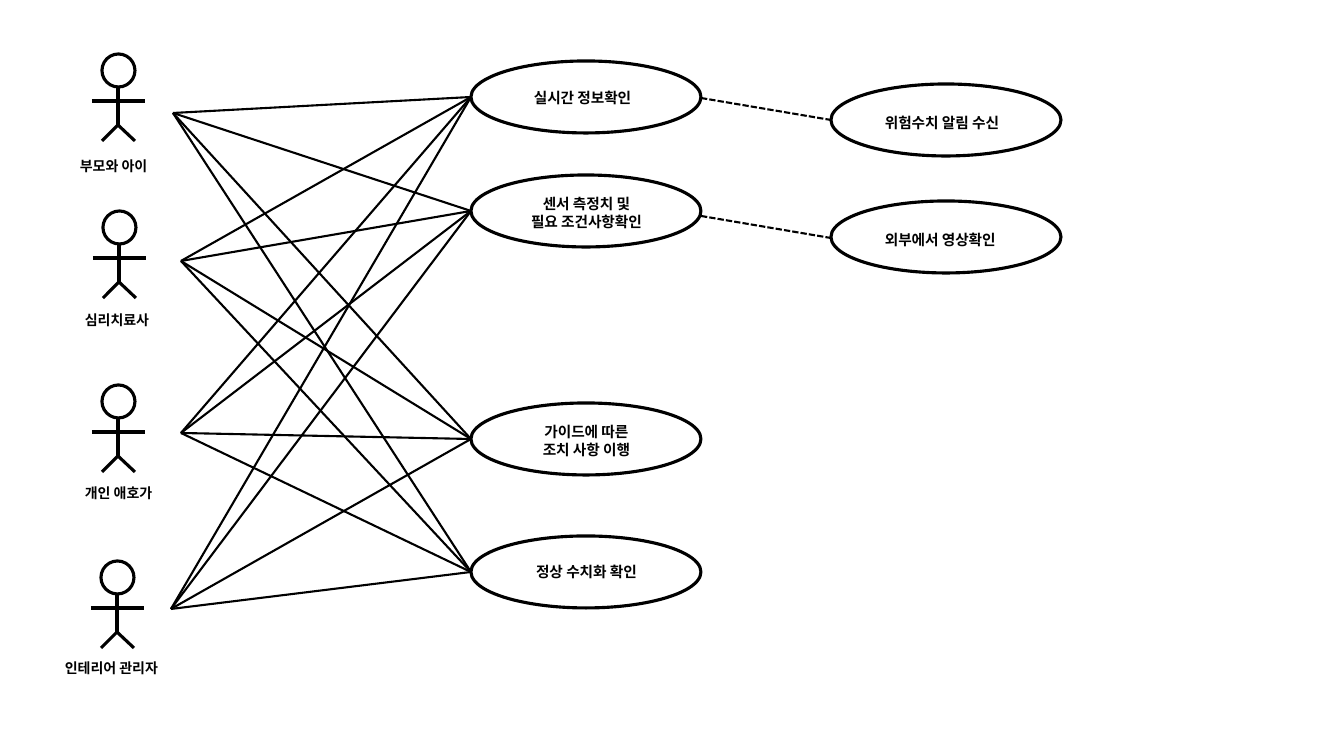
from itertools import product

from lxml.etree import SubElement
from pptx import Presentation
from pptx.dml.color import RGBColor
from pptx.enum.dml import MSO_LINE
from pptx.enum.shapes import MSO_CONNECTOR, MSO_SHAPE
from pptx.enum.text import MSO_AUTO_SIZE, PP_ALIGN
from pptx.oxml.ns import qn
from pptx.util import Emu, Pt

EMU_PER_PIXEL = 914400 / 100.8
FONT = "Noto Sans CJK KR"
COLORS = {"ink": "000000", "paper": "FFFFFF"}
CASE_WIDTH, CASE_HEIGHT = 230, 72
CASE_LEFT, EXTENSION_LEFT = 471, 831
HEAD = 33

# name, head corner, label left and width, point where the links start
ACTORS = [
    ("부모와 아이", (102, 54), (70, 107), (173, 113)),
    ("심리치료사", (103, 211), (75, 107), (181, 261)),
    ("개인 애호가", (102, 385), (75, 107), (181, 433)),
    ("인테리어 관리자", (101, 561), (55, 135), (171, 609)),
]
LABEL_TOPS = [153, 307, 480, 655]
# lines, ellipse corner, text corner, alignment
USE_CASES = [
    (["실시간 정보확인"], (CASE_LEFT, 61), (524, 84), PP_ALIGN.LEFT),
    (["센서 측정치 및", "필요 조건사항확인"], (CASE_LEFT, 175), (488, 190), PP_ALIGN.CENTER),
    (["가이드에 따른", "조치 사항 이행"], (CASE_LEFT, 403), (488, 418), PP_ALIGN.CENTER),
    (["정상 수치화 확인"], (CASE_LEFT, 536), (488, 558), PP_ALIGN.CENTER),
]
EXTENSIONS = [
    (["위험수치 알림 수신"], (EXTENSION_LEFT, 84), (875, 109), PP_ALIGN.LEFT),
    (["외부에서 영상확인"], (EXTENSION_LEFT, 201), (875, 226), PP_ALIGN.LEFT),
]
EXTENSION_LINKS = [((701, 98), (831, 120)), ((701, 216), (831, 238))]


def px(value):
    return Emu(round(value * EMU_PER_PIXEL))


def color(name):
    return RGBColor.from_string(COLORS[name])


def add_ellipse(shapes, left, top, width, height, fill=None):
    ellipse = shapes.add_shape(MSO_SHAPE.OVAL, px(left), px(top), px(width), px(height))
    ellipse.shadow.inherit = False
    if fill:
        ellipse.fill.solid()
        ellipse.fill.fore_color.rgb = color(fill)
    else:
        ellipse.fill.background()
    ellipse.line.color.rgb = color("ink")
    ellipse.line.width = Pt(2.25)


def add_line(shapes, start, end, weight=1.5, dashed=False):
    points = [px(value) for value in (*start, *end)]
    line = shapes.add_connector(MSO_CONNECTOR.STRAIGHT, *points)
    line.line.color.rgb = color("ink")
    line.line.width = Pt(weight)
    if dashed:
        line.line.dash_style = MSO_LINE.SQUARE_DOT
    SubElement(line._element.spPr, qn("a:effectLst"))


def add_text(shapes, lines, left, top, width, height, size, align=PP_ALIGN.LEFT):
    box = shapes.add_textbox(px(left), px(top), px(width), px(height))
    frame = box.text_frame
    frame.word_wrap = True
    frame.auto_size = MSO_AUTO_SIZE.SHAPE_TO_FIT_TEXT
    frame.text = "\n".join(lines)
    for paragraph in frame.paragraphs:
        paragraph.alignment = align
        font = paragraph.font
        font.name = FONT
        font.size = Pt(size)
        font.bold = True
        font.color.rgb = color("ink")
        east_asian = SubElement(font._element, qn("a:ea"))
        east_asian.set("typeface", FONT)


def add_figure(page, left, top):
    shapes = page.shapes.add_group_shape().shapes
    add_ellipse(shapes, left, top, HEAD, HEAD)
    middle = left + 16
    hip = (middle, top + 71)
    limbs = [
        ((middle, top + HEAD), hip),
        ((left - 10, top + 47), (left + 43, top + 47)),
        ((left, top + 87), hip),
        ((left + HEAD, top + 87), hip),
    ]
    for start, end in limbs:
        add_line(shapes, start, end, 2.25)


def add_use_case(page, lines, corner, text_corner, align):
    add_ellipse(page.shapes, *corner, CASE_WIDTH, CASE_HEIGHT, "paper")
    text_height = 28 if len(lines) == 1 else 45
    add_text(page.shapes, lines, *text_corner, 197, text_height, 10.5, align)


def main():
    deck = Presentation()
    deck.slide_width, deck.slide_height = px(1344), px(756)
    page = deck.slides.add_slide(deck.slide_layouts[6])

    for (name, corner, (left, width), _), top in zip(ACTORS, LABEL_TOPS):
        add_figure(page, *corner)
        add_text(page.shapes, [name], left, top, width, 27, 10)
    for use_case in USE_CASES + EXTENSIONS:
        add_use_case(page, *use_case)

    for actor, use_case in product(ACTORS, USE_CASES):
        left, top = use_case[1]
        add_line(page.shapes, actor[3], (left, top + CASE_HEIGHT / 2))
    for start, end in EXTENSION_LINKS:
        add_line(page.shapes, start, end, dashed=True)

    deck.save("out.pptx")


main()
